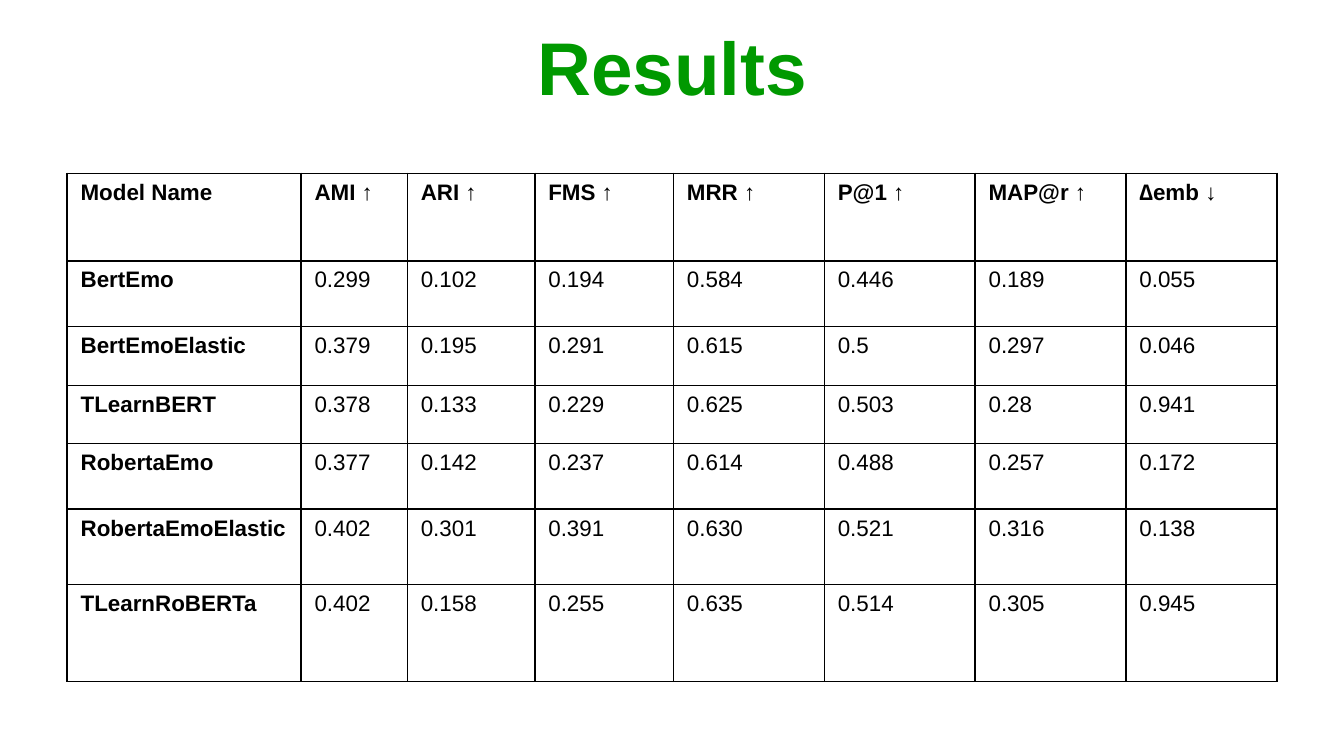
from dataclasses import dataclass

import lxml.etree
import pptx
import pptx.dml.color
import pptx.enum.text
import pptx.oxml.ns
import pptx.util

Cm = pptx.util.Cm
Pt = pptx.util.Pt


@dataclass(frozen=True)
class Theme:
    font: str = "Arial"
    title_color: str = "009900"
    ink: str = "000000"
    paper: str = "FFFFFF"
    title_size: int = 40
    body_size: int = 12
    border: int = 1


@dataclass(frozen=True)
class Model:
    name: str
    scores: tuple[str, ...]


THEME = Theme()
METRICS = ("AMI ↑", "ARI ↑", "FMS ↑", "MRR ↑", "P@1 ↑", "MAP@r ↑", "∆emb ↓")
MODELS = (
    Model("BertEmo", ("0.299", "0.102", "0.194", "0.584", "0.446", "0.189", "0.055")),
    Model("BertEmoElastic", ("0.379", "0.195", "0.291", "0.615", "0.5", "0.297", "0.046")),
    Model("TLearnBERT", ("0.378", "0.133", "0.229", "0.625", "0.503", "0.28", "0.941")),
    Model("RobertaEmo", ("0.377", "0.142", "0.237", "0.614", "0.488", "0.257", "0.172")),
    Model("RobertaEmoElastic", ("0.402", "0.301", "0.391", "0.630", "0.521", "0.316", "0.138")),
    Model("TLearnRoBERTa", ("0.402", "0.158", "0.255", "0.635", "0.514", "0.305", "0.945")),
)
COL_WIDTHS = (4.42, 2.01, 2.41, 2.62) + (2.85,) * 4
ROW_HEIGHTS = (1.65, 1.24, 1.12, 1.09, 1.24, 1.43, 1.83)
LEFT = 1.27
WIDTH = 22.86


def rgb(color: str) -> pptx.dml.color.RGBColor:
    return pptx.dml.color.RGBColor.from_string(color)


def put_text(tf, text: str, *, size: int = THEME.body_size, color: str = THEME.ink,
             bold: bool = False, align=pptx.enum.text.PP_ALIGN.LEFT) -> None:
    p = tf.paragraphs[0]
    p.alignment = align
    r = p.add_run()
    r.text = text
    r.font.name = THEME.font
    r.font.size = Pt(size)
    r.font.bold = bold
    r.font.color.rgb = rgb(color)


def add_title(s, text: str) -> None:
    sp = s.shapes.add_textbox(Cm(LEFT), Cm(0.58), Cm(WIDTH), Cm(1.32))
    tf = sp.text_frame
    tf.word_wrap = True
    tf.vertical_anchor = pptx.enum.text.MSO_ANCHOR.MIDDLE
    put_text(tf, text, size=THEME.title_size, color=THEME.title_color, bold=True,
             align=pptx.enum.text.PP_ALIGN.CENTER)


def set_borders(cell) -> None:
    qn = pptx.oxml.ns.qn
    props = cell._tc.get_or_add_tcPr()
    for i, side in enumerate(("a:lnL", "a:lnR", "a:lnT", "a:lnB")):
        ln = lxml.etree.Element(qn(side), w=str(Pt(THEME.border)))
        fill = lxml.etree.SubElement(ln, qn("a:solidFill"))
        lxml.etree.SubElement(fill, qn("a:srgbClr"), val=THEME.ink)
        props.insert(i, ln)


def add_results(s, models: tuple[Model, ...]) -> None:
    rows = [("Model Name", *METRICS)] + [(m.name, *m.scores) for m in models]
    table = s.shapes.add_table(len(rows), len(COL_WIDTHS), Cm(LEFT), Cm(3.28),
                               Cm(WIDTH), Cm(sum(ROW_HEIGHTS))).table
    table.horz_banding = False
    for col, width in zip(table.columns, COL_WIDTHS):
        col.width = Cm(width)
    for row, height in zip(table.rows, ROW_HEIGHTS):
        row.height = Cm(height)
    for i, values in enumerate(rows):
        for j, value in enumerate(values):
            cell = table.cell(i, j)
            cell.fill.solid()
            cell.fill.fore_color.rgb = rgb(THEME.paper)
            set_borders(cell)
            put_text(cell.text_frame, value, bold=i == 0 or j == 0)


def main() -> None:
    prs = pptx.Presentation()
    prs.slide_width = Cm(25.4)
    prs.slide_height = Cm(14.29)
    s = prs.slides.add_slide(prs.slide_layouts[6])
    add_title(s, "Results")
    add_results(s, MODELS)
    prs.save("out.pptx")


if __name__ == "__main__":
    main()
